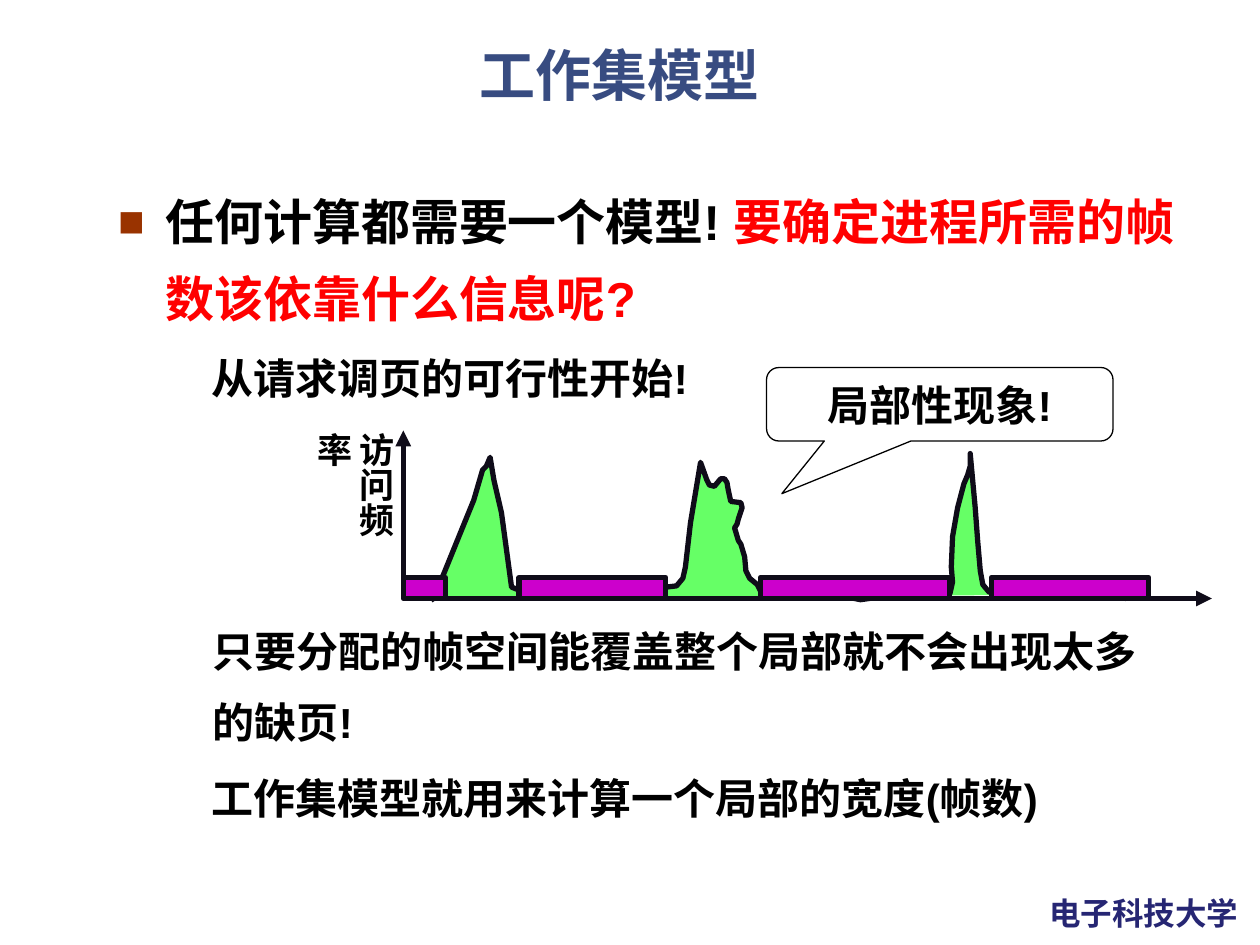
from pptx import Presentation
from pptx.util import Pt
from pptx.dml.color import RGBColor
from pptx.enum.shapes import MSO_CONNECTOR as Conn, MSO_SHAPE as Kind
from pptx.enum.text import MSO_ANCHOR as Anchor, PP_ALIGN as Align
from pptx.oxml import parse_xml
from pptx.oxml.ns import nsdecls, qn

BLACK = RGBColor(0x00, 0x00, 0x00)
WHITE = RGBColor(0xFF, 0xFF, 0xFF)
RED = RGBColor(0xFF, 0x00, 0x00)
BLUE = RGBColor(0x38, 0x4C, 0x81)
NAVY = RGBColor(0x26, 0x26, 0x73)
GREEN = RGBColor(0x66, 0xFF, 0x66)
PURPLE = RGBColor(0xCC, 0x00, 0xCC)
INK = RGBColor(0x0F, 0x0C, 0x19)

# Access curve, in hundredths of an inch
CURVE = [
    (345, 477), (343, 474), (352, 456), (365, 424), (376, 397), (383, 373),
    (386, 370), (389, 363), (392, 381), (398, 407), (406, 466), (411, 468),
    (420, 469), (435, 470), (452, 474), (463, 474), (468, 472), (499, 468),
    (529, 466), (537, 465), (542, 459), (544, 450), (548, 415), (556, 367),
    (561, 381), (563, 385), (567, 386), (572, 380), (575, 380), (577, 383),
    (578, 389), (580, 398), (588, 399), (589, 403), (586, 412), (585, 416),
    (583, 419), (586, 429), (588, 432), (591, 442), (592, 453), (595, 459),
    (601, 464), (604, 470), (610, 472), (640, 469), (668, 472), (678, 475),
    (683, 476), (725, 470), (754, 471), (756, 462), (755, 450), (756, 426),
    (760, 403), (765, 384), (768, 377), (770, 370), (770, 360), (774, 403),
    (776, 430), (778, 453), (780, 464), (785, 470), (801, 470), (812, 469),
    (820, 468), (830, 465), (868, 464), (887, 468), (893, 475), (899, 474),
    (912, 471)]


def make(tag, **attrs):
    text = " ".join(f'{key}="{val}"' for key, val in attrs.items())
    return parse_xml(f'<a:{tag} {nsdecls("a")} {text}/>')


class Deck:
    font = "Arial"

    def __init__(self, wide, high):
        self.prs = Presentation()
        self.prs.slide_width, self.prs.slide_height = Pt(wide), Pt(high)
        self.slide = self.prs.slides.add_slide(self.prs.slide_layouts[5])
        self.shapes = self.slide.shapes

    def fill(self, frame, runs, size, align=Align.LEFT, gap=None,
             anchor=Anchor.TOP, wrap=True):
        """Fill a text frame with one paragraph of (text, colour) runs."""
        frame.word_wrap, frame.vertical_anchor = wrap, anchor
        para = frame.paragraphs[0]
        para.alignment, para.line_spacing = align, gap
        for text, color in runs:
            run = para.add_run()
            run.text = text
            look = {"name": self.font, "size": Pt(size), "bold": True}
            for key, val in look.items():
                setattr(run.font, key, val)
            run.font.color.rgb = color
        return para

    def title(self, text, box, size):
        head = self.shapes.title
        for key, val in zip(("left", "top", "width", "height"), box):
            setattr(head, key, Pt(val))
        self.fill(head.text_frame, [(text, BLUE)], size, Align.CENTER, 0.9)

    def text(self, box, runs, size, **style):
        frame = self.shapes.add_textbox(*map(Pt, box)).text_frame
        return self.fill(frame, runs, size, **style)

    def bullet(self, box, runs, size):
        para = self.text(box, runs, size, gap=1.3)
        props = para._p.get_or_add_pPr()
        props.set("marL", str(Pt(27)))
        props.set("indent", str(Pt(-27)))
        color = make("buClr")
        color.append(make("srgbClr", val="993300"))
        props.extend([color, make("buSzPct", val=90000),
                      make("buFont", typeface=self.font),
                      make("buChar", char="■")])

    def note(self, box, text):
        para = self.text(box, [(text, BLACK)], 24, gap=1.4)
        para.level = 1
        props = para._p.get_or_add_pPr()
        props.set("marL", str(Pt(36)))
        props.set("indent", "0")

    def paint(self, shape, fill, line, width):
        shape.shadow.inherit = False
        shape.fill.solid()
        shape.fill.fore_color.rgb = fill
        shape.line.color.rgb = line
        shape.line.width = Pt(width)
        return shape

    def shape(self, kind, box, fill, line, width):
        item = self.shapes.add_shape(kind, *map(Pt, box))
        return self.paint(item, fill, line, width)

    def curve(self, points, unit):
        outline = self.shapes.build_freeform(*points[0], scale=Pt(unit))
        outline.add_line_segments(points[1:], close=False)
        item = self.paint(outline.convert_to_shape(), GREEN, INK, 3)
        item.line._get_or_add_ln().append(make("round"))

    def arrow(self, start, end):
        line = self.shapes.add_connector(
            Conn.STRAIGHT, *map(Pt, (*start, *end)))
        line.line.color.rgb = INK
        line.line.width = Pt(3)
        line.line._get_or_add_ln().append(make("tailEnd", type="triangle"))
        line._element.spPr.append(make("effectLst"))
        return line


def main():
    deck = Deck(720, 540)

    # Footer, title and main question
    deck.text((592.5, 507.5, 124.5, 29), [("电子科技大学", NAVY)], 18, wrap=False)
    deck.title("工作集模型", (30, 24, 648, 53), 32)
    deck.bullet((60.5, 96, 623.5, 68.5),
                [("任何计算都需要一个模型! ", BLACK),
                 ("要确定进程所需的帧数该依靠什么信息呢?", RED)], 28)

    # Notes above and below the graph
    for left, top, high, text in (
            (78, 186.5, 44, "从请求调页的可行性开始!"),
            (78.5, 342.5, 84, "只要分配的帧空间能覆盖整个局部就不会出现太多的缺页!"),
            (78, 426.5, 44, "工作集模型就用来计算一个局部的宽度(帧数)")):
        deck.note((left, top, 594, high), text)

    # Callout, turned so that its tip points down while its text stays upright
    call = deck.shape(Kind.ROUNDED_RECTANGULAR_CALLOUT,
                      (438, 210, 198, 42), WHITE, BLACK, 0.75)
    call.rotation = 180
    for spot, val in enumerate((0.456, -1.217, 0.167)):
        call.adjustments[spot] = val
    deck.fill(call.text_frame, [("局部性现象!", BLACK)], 24, Align.CENTER,
              anchor=Anchor.MIDDLE)
    call.text_frame._txBody.find(qn("a:bodyPr")).set("rot", "10800000")

    # Graph: curve, bars and axes
    deck.curve(CURVE, 0.72)
    for left, wide in ((296.5, 84), (434.5, 108), (566.5, 90), (230.5, 24)):
        bar = deck.shape(Kind.RECTANGLE, (left, 330, wide, 12),
                         PURPLE, INK, 3)
    deck.arrow((230.5, 342), (692.5, 342))
    deck.arrow((230.5, 336), (230.5, 246)).begin_connect(bar, 1)

    # Vertical axis label
    label = deck.text((192.5, 240, 38, 90), [("访问频率", BLACK)], 20)
    label._p.getparent().find(qn("a:bodyPr")).set("vert", "eaVert")

    deck.prs.save("out.pptx")


if __name__ == "__main__":
    main()
